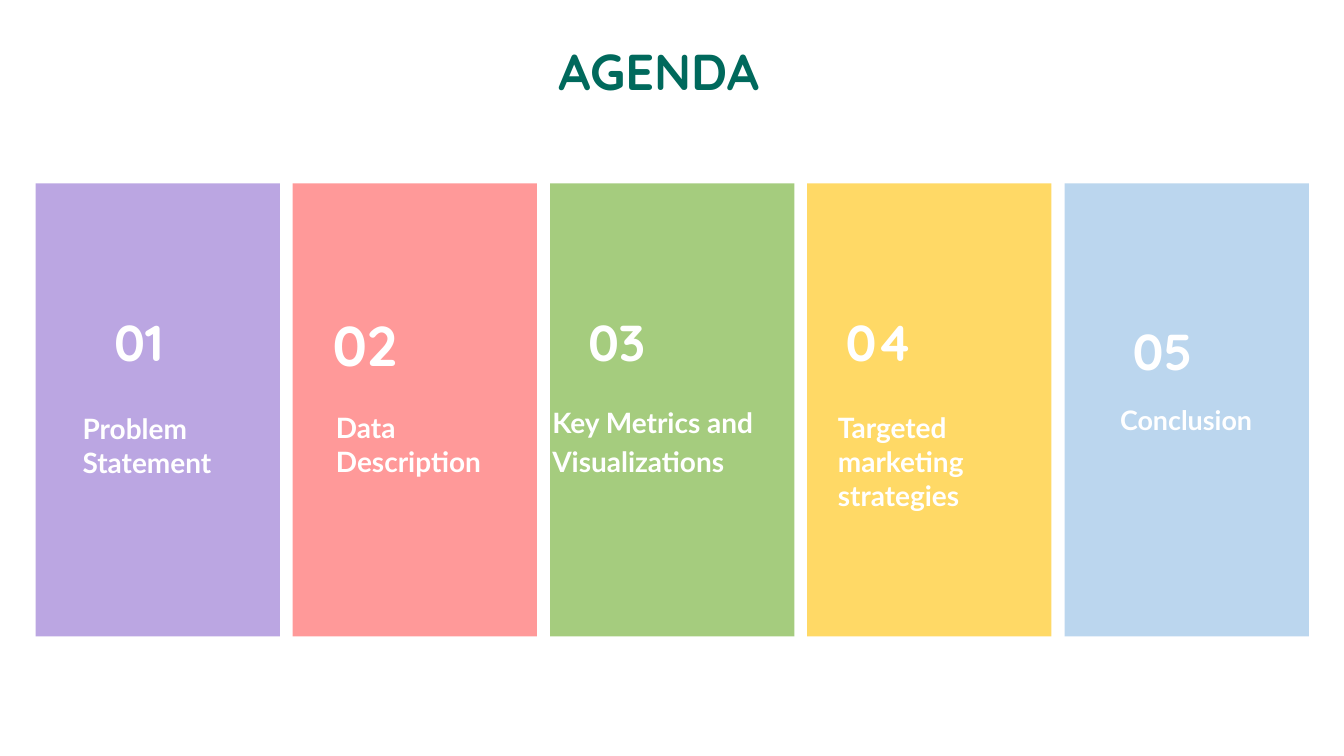
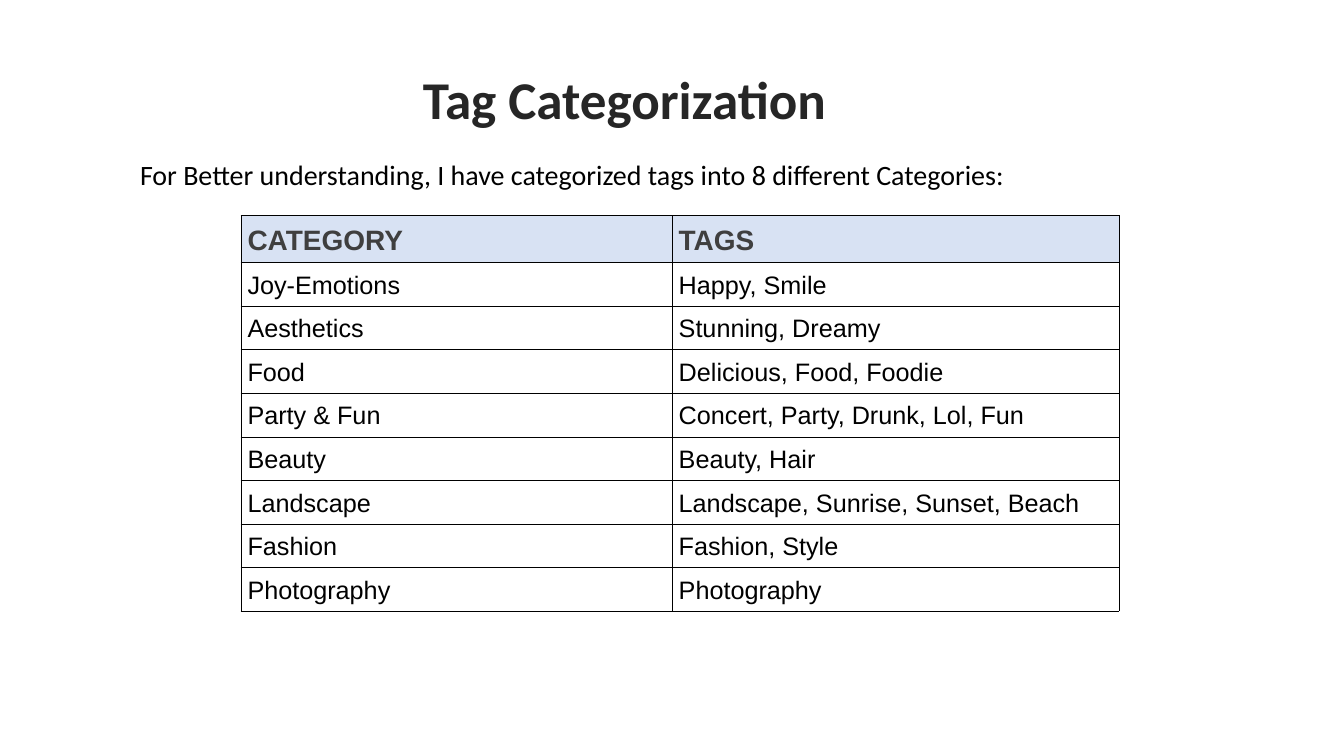
from lxml import etree
from pptx import Presentation
from pptx.dml.color import RGBColor
from pptx.enum.shapes import MSO_SHAPE
from pptx.enum.text import MSO_ANCHOR, MSO_AUTO_SIZE, PP_ALIGN
from pptx.util import Pt

RECT = MSO_SHAPE.RECTANGLE
TOP = MSO_ANCHOR.TOP
GROW = MSO_AUTO_SIZE.SHAPE_TO_FIT_TEXT
LEFT, MID = PP_ALIGN.LEFT, PP_ALIGN.CENTER
PX = 9525
NS = "http://schemas.openxmlformats.org/drawingml/2006/main"

HUES = {
    "white": "FFFFFF", "black": "000000", "teal": "00695C",
    "ink": "262626", "gray": "3F3F3F", "head": "D8E2F3",
    "plum": "BBA6E2", "rose": "FF9999", "green": "A5CC7E",
    "gold": "FFD966", "blue": "BBD6EE",
}
FRAME = {
    "margin_left": 0, "margin_top": 0, "margin_right": 0, "margin_bottom": 0,
    "word_wrap": True, "auto_size": GROW, "vertical_anchor": TOP,
}


def write(frame, text, face, size, hue, bold=True, align=LEFT, lead=None):
    para = frame.paragraphs[0]
    para.text = text
    para.alignment = align
    para.line_spacing = Pt(lead or round(size * 1.2, 1))
    for key, val in {"name": face, "size": Pt(size), "bold": bold}.items():
        setattr(para.runs[0].font, key, val)
    para.runs[0].font.color.rgb = RGBColor.from_string(HUES[hue])


def place(slide, box, text, *look, title=False, **more):
    spot = [n * PX for n in box]
    shape = slide.shapes.title if title else slide.shapes.add_textbox(*spot)
    for key, val in zip(("left", "top", "width", "height"), spot):
        setattr(shape, key, val)
    for key, val in FRAME.items():
        setattr(shape.text_frame, key, val)
    write(shape.text_frame, text, *look, **more)


deck = Presentation()
deck.slide_width, deck.slide_height = 1920 * PX, 1080 * PX
layout = deck.slide_layouts[5]

agenda = deck.slides.add_slide(layout)
place(agenda, (780, 57, 322, 92), "AGENDA", "Quicksand", 54, "teal",
      title=True, align=MID)

cards = [
    ("plum", (163, 444, 163, 91), 54,
     "Problem Statement", (118, 588, 227, 102), 30, {}),
    ("rose", (475, 444, 163, 101), 60,
     "Data Description", (480, 587, 227, 102), 30, {}),
    ("green", (840, 444, 163, 91), 54,
     "Key Metrics and Visualizations", (789, 572, 301, 173), 30, {"lead": 41.4}),
    ("gold", (1208, 444, 163, 91), 54,
     "Targeted marketing strategies", (1197, 587, 262, 152), 30, {}),
    ("blue", (1618, 457, 150, 91), 54,
     "Conclusion", (1537, 576, 315, 52), 28.8, {"align": MID, "lead": 34.5}),
]
START, SPAN = 51, 1470
for i, (hue, spot, size, label, box, small, more) in enumerate(cards):
    left = START + SPAN * i // (len(cards) - 1)
    card = agenda.shapes.add_shape(RECT, left * PX, 262 * PX, 349 * PX, 647 * PX)
    card.shadow.inherit = False
    card.fill.solid()
    card.fill.fore_color.rgb = RGBColor.from_string(HUES[hue])
    card.line.fill.background()
    place(agenda, spot, f"{i + 1:02}", "Quicksand", size, "white")
    place(agenda, box, label, "Lato", small, "white", **more)

tags = deck.slides.add_slide(layout)
place(tags, (604, 95, 905, 112), "Tag Categorization", "Calibri", 56.9, "ink",
      title=True)
place(tags, (200, 225, 1760, 60),
      "For Better understanding, I have categorized tags into 8 different Categories:",
      "Calibri", 30, "black", bold=False)

rows = [
    ("CATEGORY", "TAGS"),
    ("Joy-Emotions", "Happy, Smile"),
    ("Aesthetics", "Stunning, Dreamy"),
    ("Food", "Delicious, Food, Foodie"),
    ("Party & Fun", "Concert, Party, Drunk, Lol, Fun"),
    ("Beauty", "Beauty, Hair"),
    ("Landscape", "Landscape, Sunrise, Sunset, Beach"),
    ("Fashion", "Fashion, Style"),
    ("Photography", "Photography"),
]
WIDTHS = (616, 639)
ROW = 58
grid = tags.shapes.add_table(len(rows), 2, 344 * PX, 308 * PX,
                             sum(WIDTHS) * PX, len(rows) * ROW * PX).table
grid.first_row = grid.horz_banding = False
for col, width in zip(grid.columns, WIDTHS):
    col.width = width * PX

for r, row in enumerate(rows):
    for c, text in enumerate(row):
        cell = grid.cell(r, c)
        cell.margin_top, cell.margin_bottom = 10 * PX, 9 * PX
        if r == 0:
            cell.fill.solid()
            cell.fill.fore_color.rgb = RGBColor.from_string(HUES["head"])
            write(cell.text_frame, text, "Arial", 30, "gray")
        else:
            cell.fill.background()
            write(cell.text_frame, text, "Arial", 27, "black", bold=False)
        props = cell._tc.get_or_add_tcPr()
        for n, side in enumerate("LRTB"):
            edge = etree.fromstring(
                f'<a:ln{side} xmlns:a="{NS}" w="{PX // 2}"><a:solidFill>'
                f'<a:srgbClr val="{HUES["black"]}"/></a:solidFill></a:ln{side}>')
            props.insert(n, edge)

deck.save("out.pptx")
